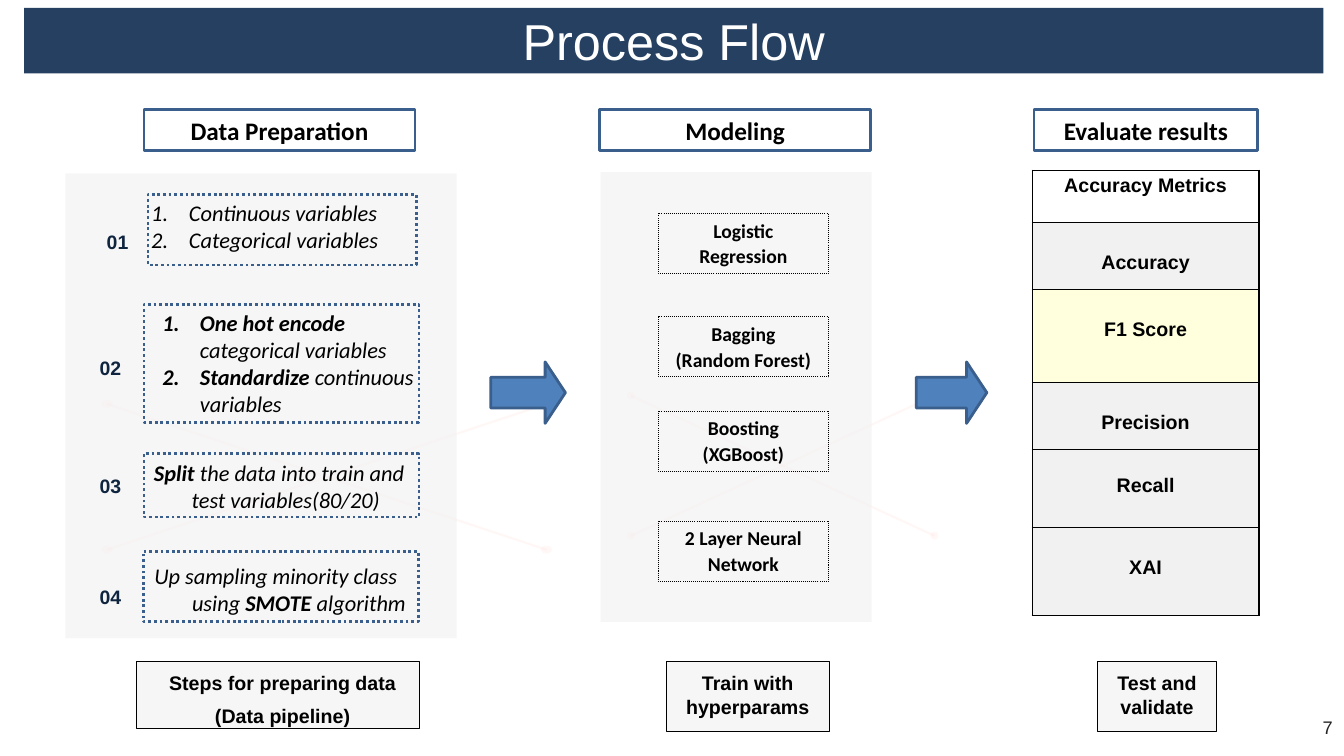
from dataclasses import dataclass

from lxml import etree
from pptx import Presentation
from pptx.dml.color import RGBColor
from pptx.enum import dml, shapes, text
from pptx.oxml.ns import qn
from pptx.util import Cm, Pt


@dataclass(frozen=True)
class Theme:
    """Colours, fonts and type sizes of the slide."""
    navy: str = "254061"
    number: str = "0F243E"
    arrow: str = "4F81BD"
    outline: str = "3A5F8C"
    panel: str = "F1F1F1"
    highlight: str = "FFFFDE"
    network: str = "FFCFC6"
    black: str = "000000"
    white: str = "FFFFFF"
    page: str = "252525"
    sans: str = "Arial"
    body: str = "Calibri"
    title_size: int = 36
    number_size: int = 24
    heading_size: int = 18
    step_size: int = 16
    label_size: int = 14
    page_size: int = 13


theme = Theme()
CENTER, LEFT = text.PP_ALIGN.CENTER, text.PP_ALIGN.LEFT
TOP, MIDDLE = text.MSO_ANCHOR.TOP, text.MSO_ANCHOR.MIDDLE
DOTTED = dml.MSO_LINE.ROUND_DOT


def style_box(shape, fill=None, line=None, width=2, dash=None):
    """Set fill and outline of a shape and take its shadow away."""
    shape.shadow.inherit = False
    if fill:
        shape.fill.solid()
        shape.fill.fore_color.rgb = RGBColor.from_string(fill)
    else:
        shape.fill.background()
    if line:
        shape.line.color.rgb = RGBColor.from_string(line)
        shape.line.width = Pt(width)
        shape.line.dash_style = dash
    else:
        shape.line.fill.background()


def write(frame, lines, size, font=theme.sans, color=theme.black, bold=False,
          italic=False, align=CENTER, anchor=TOP, margins=(0.25, 0.13, 0.25, 0.13), gap=0):
    """Write one paragraph per line; parts between asterisks become bold."""
    frame.word_wrap = True
    frame.auto_size = text.MSO_AUTO_SIZE.NONE
    frame.vertical_anchor = anchor
    (frame.margin_left, frame.margin_top,
     frame.margin_right, frame.margin_bottom) = map(Cm, margins)
    for index, line in enumerate(lines):
        paragraph = frame.paragraphs[0] if index == 0 else frame.add_paragraph()
        paragraph.alignment = align
        paragraph.space_before = Pt(gap)
        paragraph.font.name, paragraph.font.size = font, Pt(size)
        paragraph.font.bold, paragraph.font.italic = bold, italic
        paragraph.font.color.rgb = RGBColor.from_string(color)
        for position, part in enumerate(line.split("*")):
            if part:
                run = paragraph.add_run()
                run.text = part
                if position % 2:
                    run.font.bold = True


presentation = Presentation()
presentation.slide_width, presentation.slide_height = Cm(33.87), Cm(19.05)
slide = presentation.slides.add_slide(presentation.slide_layouts[3])
title, *list_placeholders = slide.placeholders
RECTANGLE = shapes.MSO_SHAPE.RECTANGLE
translucent = []

# Title banner
title.left, title.top, title.width, title.height = map(Cm, (0.61, 0.2, 32.74, 1.65))
style_box(title, theme.navy)
write(title.text_frame, ["Process Flow"], theme.title_size, color=theme.white, anchor=MIDDLE)

# Modeling and preparation panels, each over a faint crossed network
panels = [
    ((15.14, 4.34, 6.83, 11.33), (15.9, 9.97, 23.55, 13.5), 0.2),
    ((1.65, 4.37, 9.86, 11.71), (2.7, 10.18, 13.77, 13.85), 0.28),
]
for panel_area, (left, top, right, bottom), dot_width in panels:
    for start, end in [((left, top), (right, bottom)), ((left, bottom), (right, top))]:
        link = slide.shapes.add_connector(shapes.MSO_CONNECTOR.STRAIGHT, *map(Cm, start + end))
        link.line.color.rgb = RGBColor.from_string(theme.network)
        link.line.width = Pt(1.5)
        etree.SubElement(link.element.spPr, qn("a:effectLst"))
        translucent.append((link, 14))
        for x, y in (start, end):
            dot = slide.shapes.add_shape(
                shapes.MSO_SHAPE.OVAL, Cm(x - dot_width / 2), Cm(y - 0.1), Cm(dot_width), Cm(0.2))
            style_box(dot, theme.network)
            translucent.append((dot, 14))
    panel = slide.shapes.add_shape(RECTANGLE, *map(Cm, panel_area))
    style_box(panel, theme.panel)
    translucent.append((panel, 61))

# Arrows between the stages
for left, width in [(12.37, 1.88), (23.09, 1.78)]:
    arrow = slide.shapes.add_shape(
        shapes.MSO_SHAPE.RIGHT_ARROW, Cm(left), Cm(9.12), Cm(width), Cm(1.55))
    arrow.adjustments[0], arrow.adjustments[1] = 0.5, 0.33
    style_box(arrow, theme.arrow, theme.outline)

# Stage headings
for heading, left, width in [("Data Preparation", 3.63, 6.83), ("Modeling", 15.11, 6.83),
                             ("Evaluate results", 26.06, 5.64)]:
    box = slide.shapes.add_shape(RECTANGLE, Cm(left), Cm(2.77), Cm(width), Cm(1.02))
    style_box(box, theme.white, theme.outline)
    write(box.text_frame, [heading], theme.heading_size, theme.body, bold=True, anchor=MIDDLE)

# Preparation steps: area, margins, lines, number position
steps = [
    ((3.73, 4.9, 6.76, 1.78), (0.08, 0.13, 0.25, 0),
     ["Continuous variables", "Categorical variables"], (2.44, 5.16)),
    ((3.63, 7.67, 6.93, 2.97), (0.46, 0.13, 0.05, 0),
     ["*One hot encode *categorical variables", "*Standardize* continuous variables"], (2.26, 8.33)),
    ((3.63, 11.43, 6.93, 1.6), (0.25, 0.15, 0.25, 0),
     ["*Split* the data into train and test variables(80/20)"], (2.26, 11.3)),
    ((3.61, 13.89, 6.93, 1.78), (0.28, 0.28, 0.23, 0),
     ["Up sampling minority class using *SMOTE* algorithm"], (2.26, 14.1)),
]
for number, (area, margins, lines, number_place) in enumerate(steps, 1):
    numbered = len(lines) > 1
    if numbered:
        box = list_placeholders[number - 1]
        box.left, box.top, box.width, box.height = map(Cm, area)
        slide.shapes.element.append(box.element)  # bring in front of the panel
    else:
        box = slide.shapes.add_shape(RECTANGLE, *map(Cm, area))
    style_box(box, None, theme.outline, dash=DOTTED)
    write(box.text_frame, lines, theme.step_size, theme.body, italic=True, align=LEFT,
          margins=margins)
    for paragraph in box.text_frame.paragraphs:
        properties = paragraph._p.get_or_add_pPr()
        properties.set("marL", str(Cm(0.95)))
        properties.set("indent", str(-Cm(0.95)))
        if numbered:
            bullet = etree.Element(qn("a:buAutoNum"), type="arabicPeriod")
            properties.find(qn("a:defRPr")).addprevious(bullet)

    label = slide.shapes.add_textbox(*map(Cm, number_place), Cm(1.09), Cm(1.27))
    write(label.text_frame, [f"{number:02}"], theme.number_size, color=theme.number,
          bold=True, align=LEFT)
    label.text_frame.word_wrap = False
    run = label.text_frame.paragraphs[0].runs[0]
    run._r.get_or_add_rPr().set("baseline", "-19000")

# Models
for top, lines in [(5.38, ["Logistic", "Regression"]), (7.98, ["Bagging", "(Random Forest)"]),
                   (10.36, ["Boosting", "(XGBoost)"]), (13.13, ["2 Layer Neural", "Network"])]:
    box = slide.shapes.add_shape(RECTANGLE, Cm(16.59), Cm(top), Cm(4.29), Cm(1.52))
    style_box(box, None, theme.black, 0.75, DOTTED)
    write(box.text_frame, lines, theme.label_size, theme.body, bold=True, gap=1.5)

# Metrics table: label, row height, fill, space above the label
metrics = [
    ("Accuracy Metrics", 1.32, None, 0.1),
    ("Accuracy", 1.68, theme.panel, 0.74),
    ("F1 Score", 2.34, theme.highlight, 0.74),
    ("Precision", 1.7, theme.panel, 0.74),
    ("Recall", 1.96, theme.panel, 0.64),
    ("XAI", 2.21, theme.panel, 0.74),
]
table = slide.shapes.add_table(
    len(metrics), 1, Cm(26.01), Cm(4.29), Cm(5.72), Cm(sum(row[1] for row in metrics))).table
table.first_row = table.horz_banding = False
for row, (metric, height, fill, space) in enumerate(metrics):
    table.rows[row].height = Cm(height)
    cell = table.cell(row, 0)
    write(cell.text_frame, [metric], theme.label_size, bold=True)
    cell.margin_left = cell.margin_right = cell.margin_bottom = 0
    cell.margin_top = Cm(space)
    cell_properties = cell._tc.get_or_add_tcPr()
    for child in list(cell_properties):
        cell_properties.remove(child)
    for attribute in ("wrap", "lIns", "tIns", "rIns", "bIns"):
        cell_properties.attrib.pop(attribute, None)
    for side in ("a:lnL", "a:lnR", "a:lnT", "a:lnB"):
        border = etree.SubElement(cell_properties, qn(side), w=str(Pt(1)))
        border_fill = etree.SubElement(border, qn("a:solidFill"))
        etree.SubElement(border_fill, qn("a:srgbClr"), val=theme.black)
    if fill:
        cell.fill.solid()
        cell.fill.fore_color.rgb = RGBColor.from_string(fill)
    else:
        cell.fill.background()

# Captions below the stages
captions = [
    ((3.43, 16.66, 7.14, 1.7), ["Steps for preparing data", "(Data pipeline)"], 0.25, 7),
    ((16.79, 16.66, 4.11, 1.78), ["Train with", "hyperparams"], 0, 0),
    ((27.66, 16.66, 3, 1.78), ["Test and", "validate"], 0, 0),
]
for area, lines, left_margin, gap in captions:
    box = slide.shapes.add_shape(RECTANGLE, *map(Cm, area))
    style_box(box, theme.panel, theme.black, 0.72)
    write(box.text_frame, lines, theme.label_size, bold=True,
          margins=(left_margin, 0.25, 0, 0), gap=gap)
    translucent.append((box, 61))

page_number = slide.shapes.add_textbox(Cm(33.3), Cm(18.01), Cm(0.57), Cm(0.58))
write(page_number.text_frame, ["7"], theme.page_size, color=theme.page, align=LEFT,
      margins=(0.03, 0.03, 0, 0))

for shape, percent in translucent:
    color = next(shape.element.spPr.iter(qn("a:srgbClr")))
    etree.SubElement(color, qn("a:alpha"), val=str(percent * 1000))

presentation.save("out.pptx")
